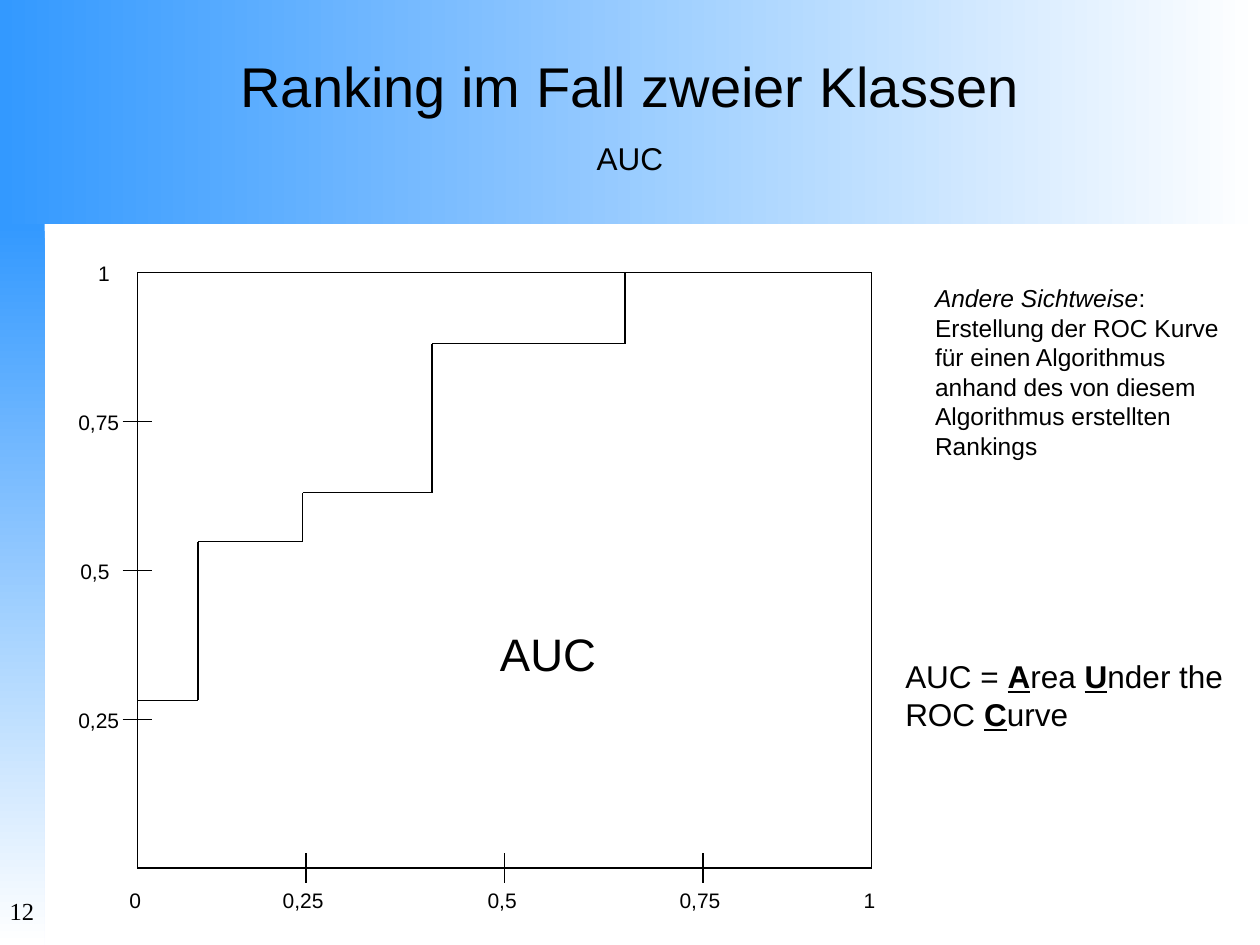
import pptx
import pptx.util
import pptx.dml.color
import pptx.enum.shapes
import pptx.enum.text
import lxml.etree

Cm, Pt = pptx.util.Cm, pptx.util.Pt
RGB = pptx.dml.color.RGBColor.from_string
Align = pptx.enum.text.PP_ALIGN
Kind = pptx.enum.shapes
cols = {"ink": "000000", "blue": "3399FF", "white": "FFFFFF"}

deck = pptx.Presentation()
deck.slide_width, deck.slide_height = Cm(25.4), Cm(19.05)
slide = deck.slides.add_slide(deck.slide_layouts[5])
shapes = slide.shapes


def write(par, words, size, face="Arial", **extra):
    run = par.add_run()
    run.text = words
    form = {"size": Pt(size), "name": face, **extra}
    for key, val in form.items():
        setattr(run.font, key, val)
    run.font.color.rgb = RGB(cols["ink"])


def place(x, y, w, h, wrap=True, inset=0.25):
    frame = shapes.add_textbox(Cm(x), Cm(y), Cm(w), Cm(h)).text_frame
    frame.word_wrap = wrap
    frame.margin_left = Cm(inset)
    return frame.paragraphs[0]


# Gradient bands: left and top
bands = [((0, 4.52, 0.9, 14.53), 270), ((0, 0, 25.4, 4.52), 0)]
for box, turn in bands:
    band = shapes.add_shape(Kind.MSO_SHAPE.RECTANGLE, *map(Cm, box))
    band.shadow.inherit = False
    band.line.fill.background()
    band.fill.gradient()
    band.fill.gradient_angle = turn
    for stop, col, pos in zip(band.fill.gradient_stops, ("blue", "white"), (0, 1)):
        stop.color.rgb = RGB(cols[col])
        stop.position = pos

# Title, raised above the bands
title = shapes.title
form = {"left": Cm(0), "top": Cm(0.92), "width": Cm(25.4), "height": Cm(2.77)}
for key, val in form.items():
    setattr(title, key, val)
title.element.getparent().append(title.element)
frame = title.text_frame
frame.auto_size = pptx.enum.text.MSO_AUTO_SIZE.NONE
frame.vertical_anchor = pptx.enum.text.MSO_ANCHOR.TOP
heads = [("Ranking im Fall zweier Klassen", 32, 20), ("AUC", 18, 11.2)]
for num, (words, size, gap) in enumerate(heads):
    par = frame.add_paragraph() if num else frame.paragraphs[0]
    par.alignment = Align.CENTER
    par.space_before = Pt(gap)
    write(par, words, size)

# Plot frame, ticks and ROC steps
left, right, top, base = 2.77, 17.57, 5.5, 17.5
cols_x = [6.17, 10.17, 14.17]
rows_y = [base - 3 * num for num in (1, 2, 3)]
half = 0.3
lines = [
    ((left, top), (left, base)),
    ((left, base), (right, base)),
    ((left, top), (right, top)),
    ((right, top), (right, base)),
]
lines += [((x, base - half), (x, base + half)) for x in cols_x]
lines += [((left - half, y), (left + half, y)) for y in rows_y]
curve = [
    (left, 14.12), (3.99, 14.12), (3.99, 10.92), (6.1, 10.92), (6.1, 9.93),
    (8.71, 9.93), (8.71, 6.93), (12.6, 6.93), (12.6, top),
]
lines += zip(curve, curve[1:])
for start, end in lines:
    line = shapes.add_connector(Kind.MSO_CONNECTOR.STRAIGHT, *map(Cm, start + end))
    line.line.width = Pt(0.75)
    line.line.color.rgb = RGB(cols["ink"])
    props = line.element.spPr
    lxml.etree.SubElement(props, f"{{{props.nsmap['a']}}}effectLst")

# Axis labels
wide = {1: 0.76, 3: 1.12, 4: 1.38}
marks = ["0,25", "0,5", "0,75"]
for words, x in zip(["0", *marks, "1"], [left, *cols_x, right]):
    w = wide[len(words)]
    write(place(x - w / 2 - 0.03, 17.76, w, 0.76, False), words, 12)
for words, x, y in zip(marks + ["1"], [1.33, 1.37, 1.33, 1.73], rows_y + [top]):
    write(place(x, y - 0.37, wide[len(words)], 0.76, False), words, 12)

# Notes in and beside the plot
write(place(9.83, 12.5, 2.69, 1.37), "AUC", 26)

par = place(18.6, 5.59, 6.6, 3.81)
write(par, "Andere Sichtweise", 14, italic=True)
write(par, ": Erstellung der ROC Kurve für einen Algorithmus anhand "
      "des von diesem Algorithmus erstellten Rankings", 14)

par = place(18, 13.12, 7.4, 1.78)
parts = ["AUC = ", "A", "rea ", "U", "nder the ROC ", "C", "urve"]
for num, words in enumerate(parts):
    mark = num % 2 == 1
    write(par, words, 18, bold=mark, underline=mark)

# Page number
par = place(0, 17.93, 0.94, 1.1, inset=0)
par.alignment = Align.RIGHT
write(par, "12", 14, "Times New Roman")

deck.save("out.pptx")
